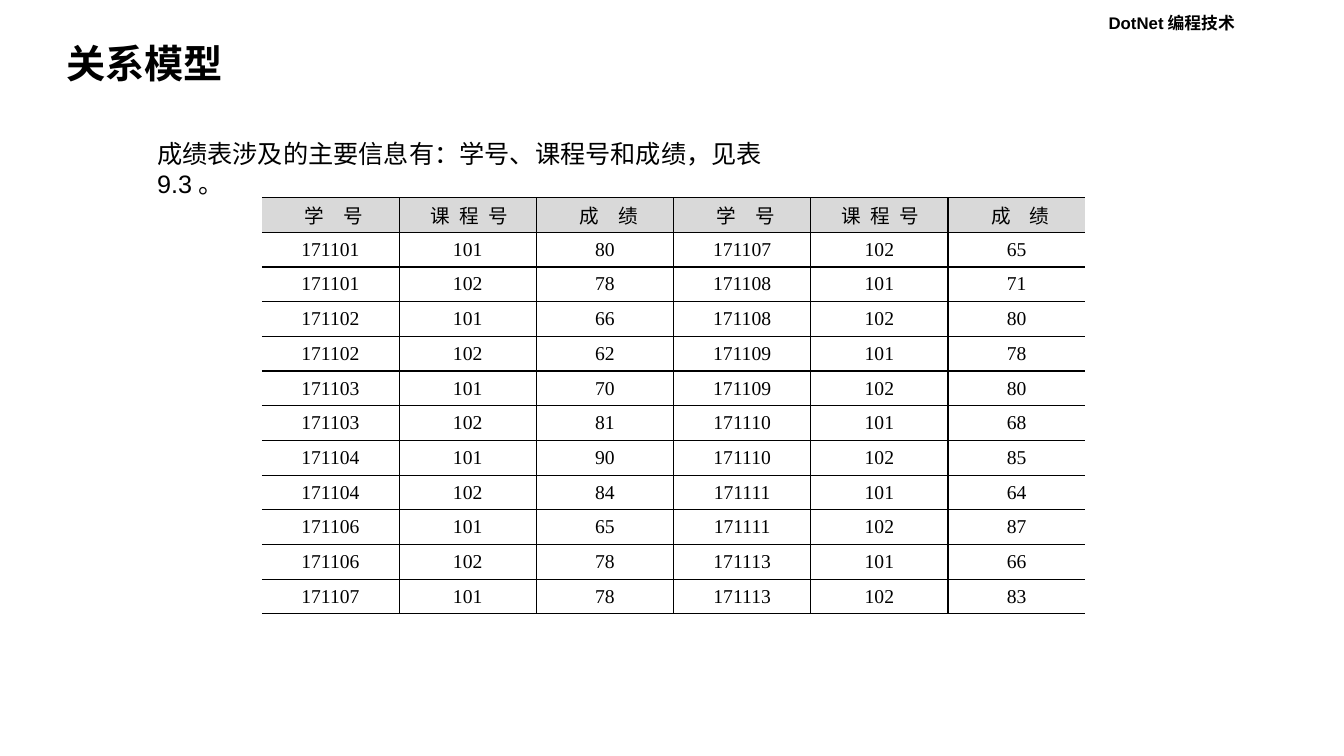
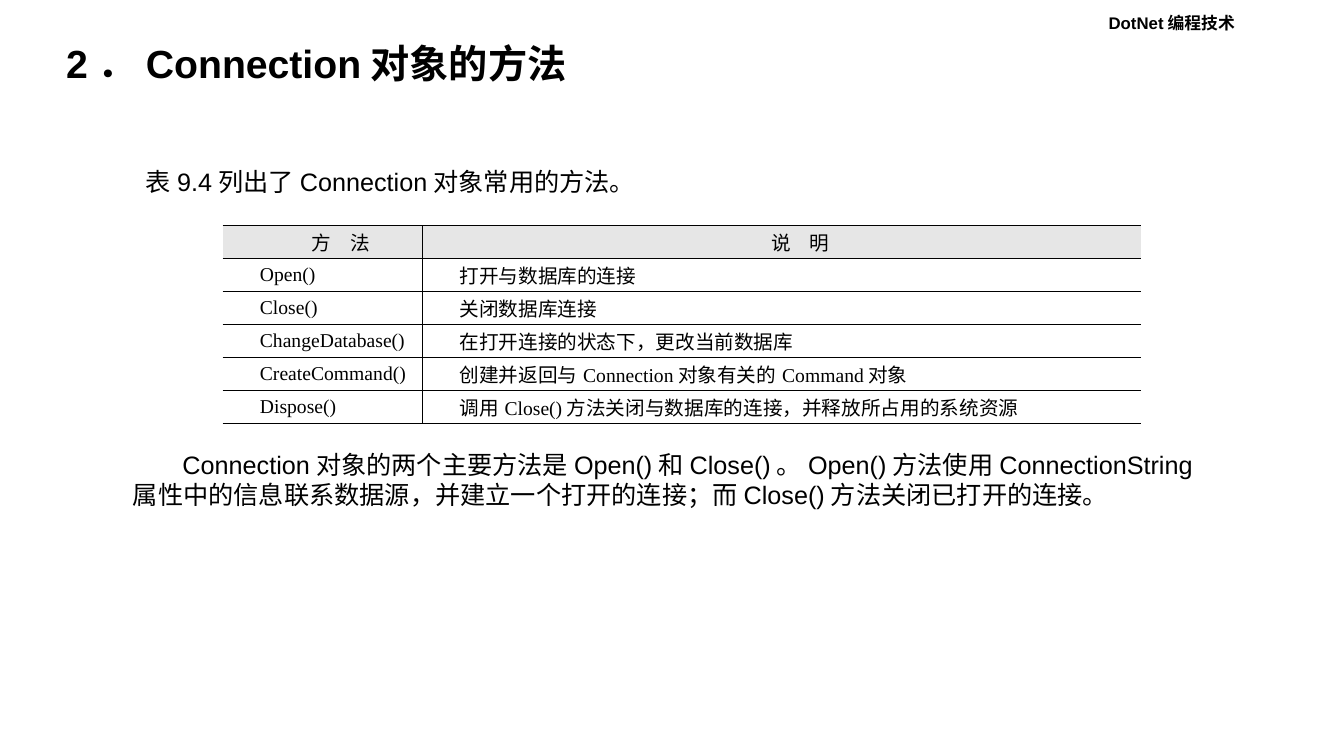
from dataclasses import dataclass
from typing import Optional

import lxml.etree
import pptx
import pptx.dml.color
import pptx.enum.lang
import pptx.enum.text
import pptx.oxml.ns
import pptx.util

Cm = pptx.util.Cm
Pt = pptx.util.Pt
ALIGN = pptx.enum.text.PP_ALIGN
ANCHOR = pptx.enum.text.MSO_ANCHOR
CHINESE = pptx.enum.lang.MSO_LANGUAGE_ID.SIMPLIFIED_CHINESE

COLORS = {"text": "000000", "border": "000000", "background": "FFFFFF",
          "score_header": "D9D9D9", "method_header": "E6E6E6"}
BODY_FONT = "Arial"
TABLE_FONT = "Times New Roman"
COURSES = ("101", "102")
SCORES = {
    "171101": (80, 78), "171102": (66, 62), "171103": (70, 81),
    "171104": (90, 84), "171106": (65, 78), "171107": (78, 65),
    "171108": (71, 80), "171109": (78, 80), "171110": (68, 85),
    "171111": (64, 87), "171113": (66, 83),
}
METHODS = [
    ("Open()", "打开与数据库的连接"),
    ("Close()", "关闭数据库连接"),
    ("ChangeDatabase()", "在打开连接的状态下，更改当前数据库"),
    ("CreateCommand()", "创建并返回与Connection对象有关的Command对象"),
    ("Dispose()", "调用Close()方法关闭与数据库的连接，并释放所占用的系统资源"),
]


@dataclass(frozen=True)
class Box:
    """Position and size in centimetres."""
    left: float
    top: float
    width: float
    height: float

    def lengths(self) -> tuple:
        return Cm(self.left), Cm(self.top), Cm(self.width), Cm(self.height)


@dataclass(frozen=True)
class HeaderCell:
    text: str
    spacing: float  # extra points after each character


@dataclass(frozen=True)
class TableDesign:
    box: Box
    column_widths: list[float]
    header_color: str
    body_align: ALIGN
    indent: float = 0
    divider_column: Optional[int] = None  # its left border is heavier


COURSE_TAG_BOX = Box(27.69, 0.2, 6.2, 0.76)
TITLE_BOX = Box(1.42, 0.99, 17.75, 1.32)
SCORE_TABLE = TableDesign(Box(6.6, 4.98, 20.75, 10.49), [20.75 / 6] * 6,
                          "score_header", ALIGN.CENTER, divider_column=3)
METHOD_TABLE = TableDesign(Box(5.61, 5.69, 23.14, 4.98), [5.03, 18.11],
                           "method_header", ALIGN.JUSTIFY, indent=0.76)


def write_text(frame, text: str, *, size: float = 18, font: str = BODY_FONT,
               bold: bool = False, align: ALIGN = ALIGN.LEFT, indent: int = 0,
               line_spacing: float = 1.0, spacing: float = 0) -> None:
    paragraph = frame.paragraphs[0]
    paragraph.alignment = align
    paragraph.line_spacing = line_spacing
    if indent:
        paragraph._p.get_or_add_pPr().set("indent", str(int(indent)))
    run = paragraph.add_run()
    run.text = text
    run.font.size = Pt(size)
    run.font.name = font
    run.font.bold = bold
    run.font.language_id = CHINESE
    run.font.color.rgb = pptx.dml.color.RGBColor.from_string(COLORS["text"])
    if spacing:
        run._r.get_or_add_rPr().set("spc", str(round(spacing * 100)))


def add_text(slide, box: Box, text: str, *, anchor: ANCHOR = ANCHOR.TOP,
             **text_format) -> None:
    frame = slide.shapes.add_textbox(*box.lengths()).text_frame
    frame.word_wrap = True
    frame.vertical_anchor = anchor
    write_text(frame, text, **text_format)


def set_borders(cell, left: float, right: float) -> None:
    """Draw 1 pt rules above and below; a side width of 0 leaves that side open."""
    properties = cell._tc.get_or_add_tcPr()
    qn = pptx.oxml.ns.qn
    for side, width in (("L", left), ("R", right), ("T", 1), ("B", 1)):
        line = lxml.etree.SubElement(properties, qn(f"a:ln{side}"), w=str(int(Pt(width))))
        if width:
            fill = lxml.etree.SubElement(line, qn("a:solidFill"))
            lxml.etree.SubElement(fill, qn("a:srgbClr"), val=COLORS["border"])
        else:
            lxml.etree.SubElement(line, qn("a:noFill"))


def add_table(slide, design: TableDesign, headers: list[HeaderCell],
              rows: list[tuple]) -> None:
    column_count = len(headers)
    table = slide.shapes.add_table(len(rows) + 1, column_count,
                                   *design.box.lengths()).table
    table.first_row = table.horz_banding = False
    for column, width in zip(table.columns, design.column_widths):
        column.width = Cm(width)

    edges = [0] + [1] * (column_count - 1) + [0]
    if design.divider_column is not None:
        edges[design.divider_column] = 1.5

    for row_index, values in enumerate([headers, *rows]):
        for column_index, value in enumerate(values):
            cell = table.cell(row_index, column_index)
            cell.margin_left = cell.margin_right = Cm(0.18)
            cell.margin_top = cell.margin_bottom = 0
            cell.vertical_anchor = ANCHOR.MIDDLE
            set_borders(cell, edges[column_index], edges[column_index + 1])
            if isinstance(value, HeaderCell):
                cell.fill.solid()
                cell.fill.fore_color.rgb = pptx.dml.color.RGBColor.from_string(
                    COLORS[design.header_color])
                # The indent balances the spacing after the last character.
                write_text(cell.text_frame, value.text, size=14, font=TABLE_FONT,
                           align=ALIGN.CENTER, spacing=value.spacing,
                           indent=Cm(design.indent) + Pt(value.spacing))
            else:
                cell.fill.background()
                write_text(cell.text_frame, str(value), size=14, font=TABLE_FONT,
                           align=design.body_align, indent=Cm(design.indent))


def add_titled_slide(presentation, title: str):
    slide = presentation.slides.add_slide(presentation.slide_layouts[6])
    slide.background.fill.solid()
    slide.background.fill.fore_color.rgb = pptx.dml.color.RGBColor.from_string(
        COLORS["background"])
    add_text(slide, COURSE_TAG_BOX, "DotNet编程技术", size=12, bold=True)
    add_text(slide, TITLE_BOX, title, size=28, bold=True, line_spacing=0.9,
             anchor=ANCHOR.MIDDLE)
    return slide


def add_score_slide(presentation) -> None:
    slide = add_titled_slide(presentation, "关系模型")
    add_text(slide, Box(3.71, 3.35, 17.42, 1.02),
             "成绩表涉及的主要信息有：学号、课程号和成绩，见表9.3。")
    records = [(student, course, score) for student, scores in SCORES.items()
               for course, score in zip(COURSES, scores)]
    half = len(records) // 2
    rows = [left + right for left, right in zip(records[:half], records[half:])]
    headers = [HeaderCell("学 号", 5.25), HeaderCell("课 程 号", 1.75),
               HeaderCell("成 绩", 5.25)]
    add_table(slide, SCORE_TABLE, headers * 2, rows)


def add_method_slide(presentation) -> None:
    slide = add_titled_slide(presentation, "2．Connection对象的方法")
    add_text(slide, Box(3.43, 4.06, 12.8, 1.02), "表9.4列出了Connection对象常用的方法。")
    add_table(slide, METHOD_TABLE,
              [HeaderCell("方 法", 5.25), HeaderCell("说 明", 5.25)], METHODS)
    add_text(slide, Box(3.1, 11.2, 27.51, 1.8),
             "Connection对象的两个主要方法是Open()和Close()。Open()方法使用"
             "ConnectionString属性中的信息联系数据源，并建立一个打开的连接；"
             "而Close()方法关闭已打开的连接。", indent=Cm(1.25))


def main() -> None:
    presentation = pptx.Presentation()
    presentation.slide_width = Cm(33.87)
    presentation.slide_height = Cm(19.05)
    add_score_slide(presentation)
    add_method_slide(presentation)
    presentation.save("out.pptx")


if __name__ == "__main__":
    main()
